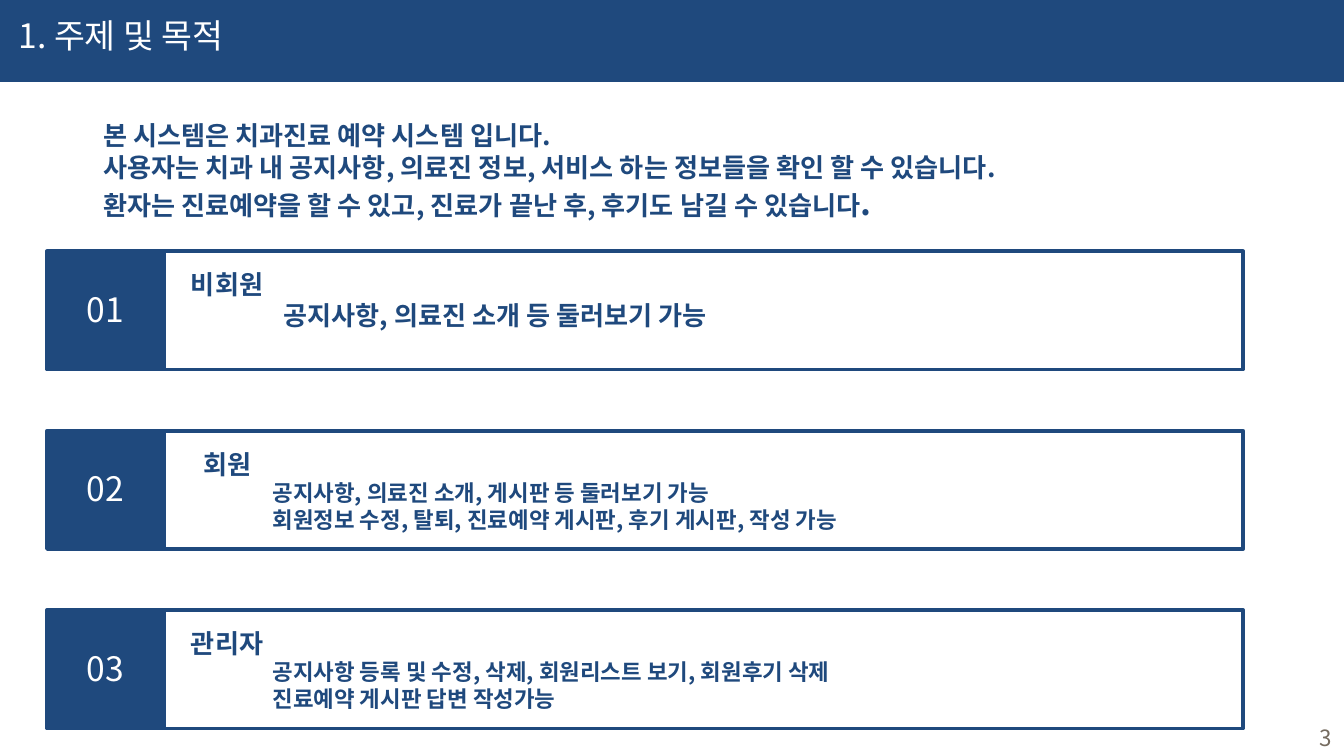
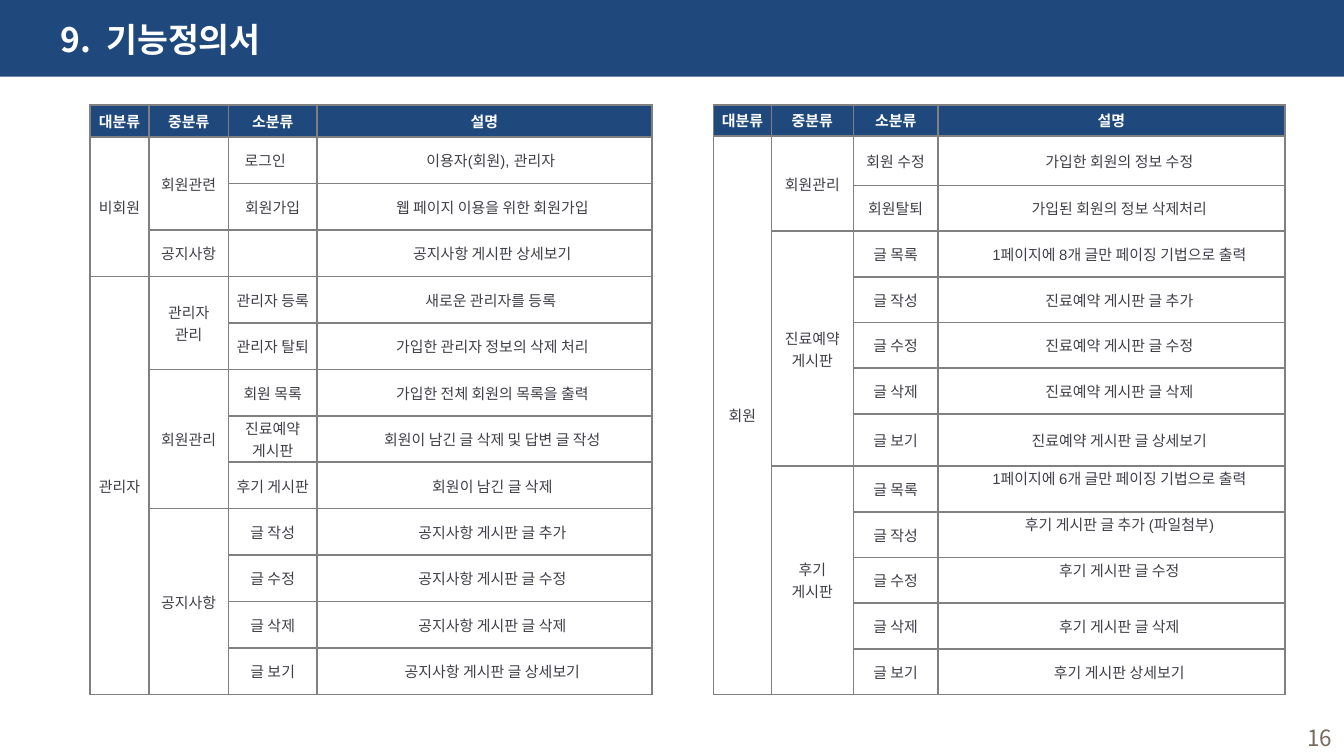
from lxml import etree
from pptx import Presentation
from pptx.dml.color import RGBColor
from pptx.enum.shapes import MSO_SHAPE
from pptx.enum.text import MSO_ANCHOR, PP_ALIGN
from pptx.oxml.ns import qn
from pptx.util import Inches, Pt

RECTANGLE = MSO_SHAPE.RECTANGLE
LEFT, CENTER, RIGHT = PP_ALIGN.LEFT, PP_ALIGN.CENTER, PP_ALIGN.RIGHT
TOP, MIDDLE = MSO_ANCHOR.TOP, MSO_ANCHOR.MIDDLE

COLORS = {
    "navy": "1F497D",
    "white": "FFFFFF",
    "page_number": "756B5F",
    "cell_text": "3F3F48",
    "border": "808080",
}
FONT = "Noto Sans CJK KR"
TABLE_FONT = "Arial"

INTRO = [
    "본 시스템은 치과진료 예약 시스템 입니다.",
    "사용자는 치과 내 공지사항, 의료진 정보, 서비스 하는 정보들을 확인 할 수 있습니다.",
    "환자는 진료예약을 할 수 있고, 진료가 끝난 후, 후기도 남길 수 있습니다",
]
# Role, permissions, left edge of the permissions, text size
ROLES = [
    ("비회원", "공지사항, 의료진 소개 등 둘러보기 가능", 2.01, 14),
    ("회원", "공지사항, 의료진 소개, 게시판 등 둘러보기 가능\n"
     "회원정보 수정, 탈퇴, 진료예약 게시판, 후기 게시판, 작성 가능", 1.93, 12),
    ("관리자", "공지사항 등록 및 수정, 삭제, 회원리스트 보기, 회원후기 삭제\n"
     "진료예약 게시판 답변 작성가능", 1.93, 12),
]

HEADINGS = ["대분류", "중분류", "소분류", "설명"]
# Major class -> middle class -> (minor class, description)
GUEST_AND_ADMIN = [
    ("비회원", [
        ("회원관련", [("로그인　", "이용자(회원), 관리자 "),
                  ("회원가입", "웹 페이지 이용을 위한 회원가입")]),
        ("공지사항", [("", "공지사항 게시판 상세보기")]),
    ]),
    ("관리자", [
        ("관리자\n관리", [("관리자 등록", "새로운 관리자를 등록 "),
                     ("관리자 탈퇴", "가입한 관리자 정보의 삭제 처리")]),
        ("회원관리", [("회원 목록", "가입한 전체 회원의 목록을 출력"),
                  ("진료예약\n게시판", "회원이 남긴 글 삭제 및 답변 글 작성"),
                  ("후기 게시판", "회원이 남긴 글 삭제")]),
        ("공지사항", [("글 작성", "공지사항 게시판 글 추가"),
                  ("글 수정", "공지사항 게시판 글 수정"),
                  ("글 삭제", "공지사항 게시판 글 삭제"),
                  ("글 보기", "공지사항 게시판 글 상세보기")]),
    ]),
]
MEMBER = [
    ("회원", [
        ("회원관리", [("회원 수정", "가입한 회원의 정보 수정"),
                  ("회원탈퇴", "가입된 회원의 정보 삭제처리")]),
        ("진료예약\n게시판", [("글 목록", "1페이지에 8개 글만 페이징 기법으로 출력"),
                       ("글 작성", "진료예약 게시판 글 추가"),
                       ("글 수정", "진료예약 게시판 글 수정"),
                       ("글 삭제", "진료예약 게시판 글 삭제"),
                       ("글 보기", "진료예약 게시판 글 상세보기")]),
        ("후기\n게시판", [("글 목록", "1페이지에 6개 글만 페이징 기법으로 출력"),
                     ("글 작성", "후기 게시판 글 추가 (파일첨부)"),
                     ("글 수정", "후기 게시판 글 수정"),
                     ("글 삭제", "후기 게시판 글 삭제"),
                     ("글 보기", "후기 게시판 상세보기")]),
    ]),
]


def rgb(name):
    return RGBColor.from_string(COLORS[name])


def style_span(span, size, color, bold=False, font=FONT):
    span.font.size = Pt(size)
    span.font.bold = bold
    span.font.name = font
    span.font.color.rgb = rgb(color)


def add_text(page, text, left, top, width, height, size, color,
             bold=False, align=LEFT, anchor=TOP):
    box = page.shapes.add_textbox(
        Inches(left), Inches(top), Inches(width), Inches(height))
    frame = box.text_frame
    frame.word_wrap = True
    frame.vertical_anchor = anchor
    frame.text = text
    for para in frame.paragraphs:
        para.alignment = align
        for span in para.runs:
            style_span(span, size, color, bold)
    return box


def add_rectangle(page, left, top, width, height, fill, outlined=True):
    box = page.shapes.add_shape(
        RECTANGLE, Inches(left), Inches(top), Inches(width), Inches(height))
    box.shadow.inherit = False
    box.fill.solid()
    box.fill.fore_color.rgb = rgb(fill)
    if outlined:
        box.line.color.rgb = rgb("navy")
        box.line.width = Pt(2)
    else:
        box.line.fill.background()


def add_page(deck, title, number, band_height, title_left, title_top,
             title_width, bold):
    page = deck.slides.add_slide(deck.slide_layouts[6])
    add_rectangle(page, 0, -0.02, 10, band_height, "navy", outlined=False)
    add_text(page, title, title_left, title_top, title_width, 0.4, 18, "white",
             bold)
    add_text(page, str(number), 7.68, 5.34, 2.33, 0.3, 12, "page_number",
             align=RIGHT, anchor=MIDDLE)
    return page


def add_role_card(page, number, top, role, permissions, left, size):
    add_rectangle(page, 1.22, top, 8.03, 0.88, "white")
    add_rectangle(page, 0.35, top, 0.87, 0.88, "navy")
    add_text(page, f"{number:02}", 0.51, top + 0.23, 0.55, 0.4, 18, "white",
             align=CENTER)
    add_text(page, role, 1.14, top + 0.08, 1.1, 0.34, 14, "navy", True, CENTER)
    height = 0.34 if size == 14 else 0.5
    add_text(page, permissions, left, top + 0.31, 6.54, height, size, "navy",
             True)


def add_borders(cell):
    properties = cell._tc.get_or_add_tcPr()
    for side in ("a:lnL", "a:lnR", "a:lnT", "a:lnB"):
        line = etree.SubElement(properties, qn(side), w=str(Pt(1)))
        fill = etree.SubElement(line, qn("a:solidFill"))
        etree.SubElement(fill, qn("a:srgbClr"), val=COLORS["border"])


def format_cell(cell, heading, indent):
    add_borders(cell)
    cell.fill.solid()
    cell.fill.fore_color.rgb = rgb("navy" if heading else "white")
    cell.vertical_anchor = MIDDLE
    cell.margin_left = cell.margin_right = Inches(0.01)
    cell.margin_top = cell.margin_bottom = 0
    for para in cell.text_frame.paragraphs:
        para.alignment = CENTER
        if indent:
            para._p.get_or_add_pPr().set("marL", str(Inches(indent)))
        for span in para.runs:
            style_span(span, 8, "white" if heading else "cell_text", heading,
                       TABLE_FONT)


def fill_classes(table, classes):
    """Write the class tree below the headings, merging each parent's rows."""
    row = 1
    for major, middles in classes:
        major_row = row
        for middle, minors in middles:
            middle_row = row
            for minor, description in minors:
                table.cell(row, 2).text = minor
                table.cell(row, 3).text = description
                row += 1
            table.cell(middle_row, 1).text = middle
            if row - middle_row > 1:
                table.cell(middle_row, 1).merge(table.cell(row - 1, 1))
        table.cell(major_row, 0).text = major
        table.cell(major_row, 0).merge(table.cell(row - 1, 0))


def add_function_table(page, classes, left, widths, fixed_heights, raised=()):
    """Rows outside fixed_heights share the rest; raised rows lift their text."""
    count = 1 + sum(len(minors) for _, middles in classes
                    for _, minors in middles)
    height = 4.39
    shared = (height - sum(fixed_heights.values())) / (count - len(fixed_heights))
    table = page.shapes.add_table(
        count, len(HEADINGS), Inches(left), Inches(0.78),
        Inches(sum(widths)), Inches(height)).table
    table.first_row = table.horz_banding = False
    for column, width in zip(table.columns, widths):
        column.width = Inches(width)
    for index, row in enumerate(table.rows):
        row.height = Inches(fixed_heights.get(index, shared))
    for index, heading in enumerate(HEADINGS):
        table.cell(0, index).text = heading
    fill_classes(table, classes)
    for row in range(count):
        for column in range(len(HEADINGS)):
            indent = 0.12 if row and column == 3 else 0
            format_cell(table.cell(row, column), row == 0, indent)
    for row in raised:
        table.cell(row, 3).margin_bottom = Inches(0.16)


def build_purpose(deck):
    page = add_page(deck, "1. 주제 및 목적", 3, 0.63, 0.04, 0.06, 2.44, False)
    intro = add_text(page, "\n".join(INTRO), 0.67, 0.84, 8.9, 0.88, 14, "navy",
                     True)
    period = intro.text_frame.paragraphs[-1].add_run()
    period.text = "."
    style_span(period, 18, "navy", True)
    for index, role in enumerate(ROLES):
        add_role_card(page, index + 1, 1.87 + index * 1.335, *role)


def build_functions(deck):
    page = add_page(deck, "9.  기능정의서", 16, 0.59, 0.35, 0.09, 3.21, True)
    add_function_table(page, GUEST_AND_ADMIN, 0.67, [0.44, 0.59, 0.66, 2.49],
                       {0: 0.24})
    add_function_table(page, MEMBER, 5.31, [0.43, 0.61, 0.63, 2.58],
                       {0: 0.23, 1: 0.37, 7: 0.39}, raised=(8, 9, 10))


def main():
    deck = Presentation()
    deck.slide_width = Inches(10)
    deck.slide_height = Inches(10) * 9 // 16
    build_purpose(deck)
    build_functions(deck)
    deck.save("out.pptx")


if __name__ == "__main__":
    main()
